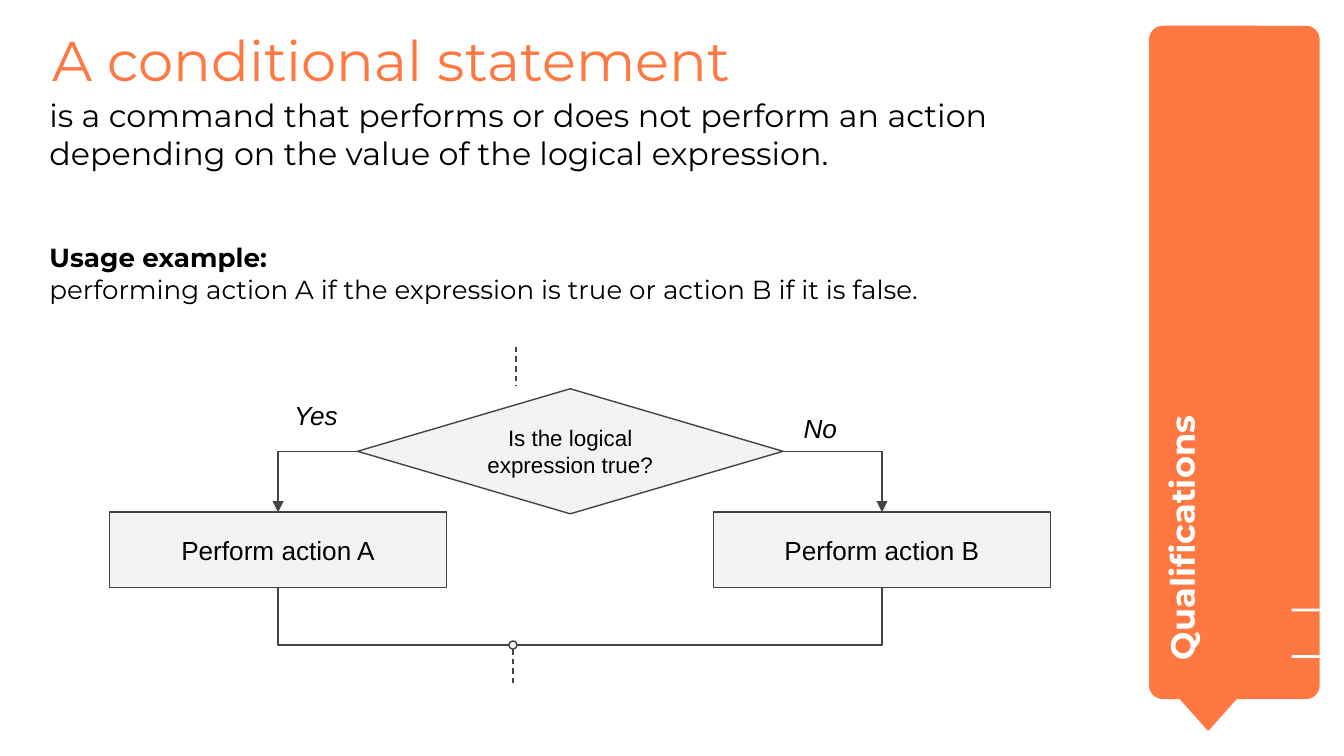
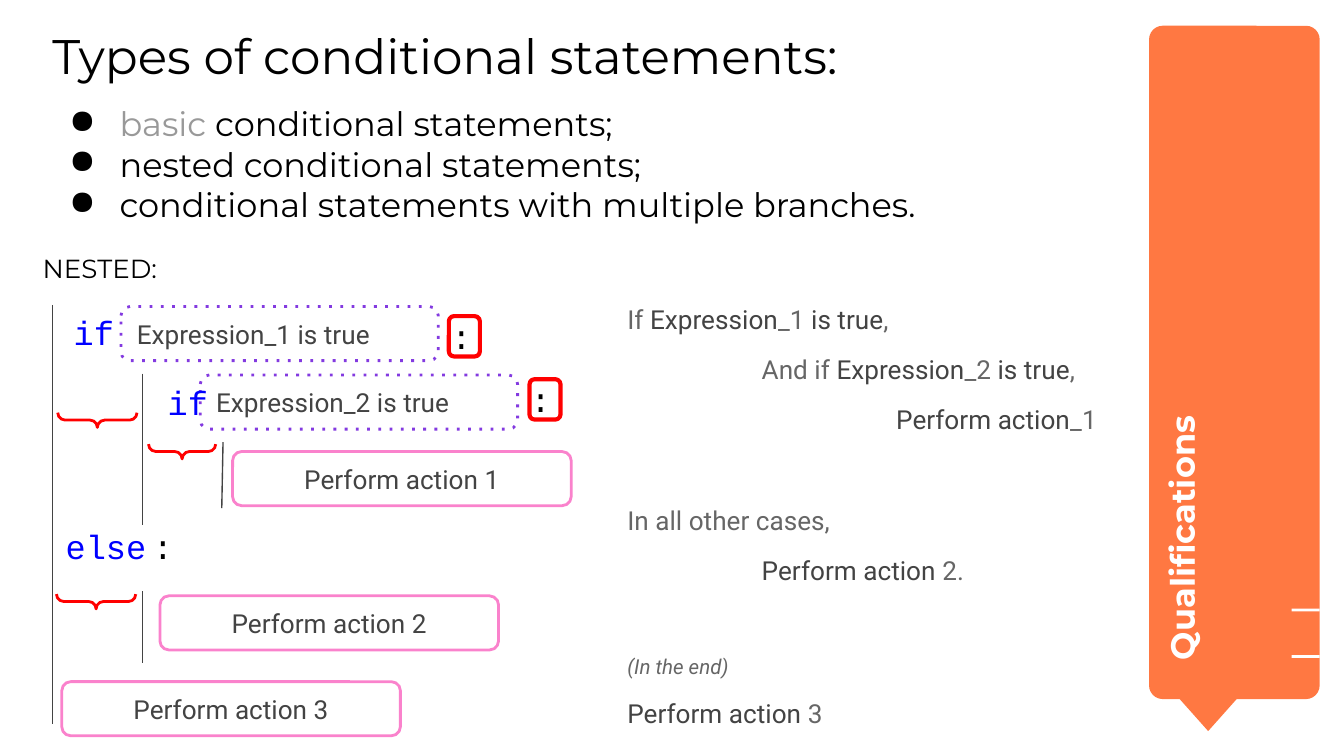
"""Build two slides that explain conditional statements."""
from dataclasses import dataclass, replace
from typing import NamedTuple

from lxml import etree
from pptx import Presentation
from pptx import util as u
from pptx.dml import color as c
from pptx.enum import shapes as s
from pptx.enum import text as t
from pptx.oxml import ns

Kind = s.MSO_SHAPE
Align = t.PP_ALIGN


@dataclass(frozen=True)
class Theme:
    orange: str = "FF7842"
    white: str = "FFFFFF"
    black: str = "000000"
    pale: str = "F3F3F3"
    dark: str = "434343"
    grey: str = "666666"
    light: str = "999999"
    pink: str = "FA82CC"
    purple: str = "833AE0"
    red: str = "FF0000"
    blue: str = "0000FF"
    heading: str = "Montserrat"
    diagram: str = "Arial"
    code: str = "Courier New"
    prose: str = "Roboto"
    title: float = 30
    subtitle: float = 26
    large: float = 18
    lead: float = 17
    body: float = 14
    small: float = 12
    note: float = 11
    inset: float = 7.2


THEME = Theme()


class Box(NamedTuple):
    left: float
    top: float
    width: float
    height: float

    def lengths(self) -> list:
        return [u.Pt(value) for value in self]


class Stroke(NamedTuple):
    color: str
    width: float
    dash: str = ""
    arrow: str = ""


class Style(NamedTuple):
    size: float
    font: str
    color: str = THEME.black
    bold: bool = False
    italic: bool = False


class Piece(NamedTuple):
    text: str
    style: Style


@dataclass(frozen=True)
class Line:
    pieces: tuple[Piece, ...]
    before: float = 0
    indent: float = 0
    hanging: float = 0


THIN = Stroke(THEME.dark, 0.75)
DASHED = THIN._replace(dash="dash")
ARROW = THIN._replace(arrow="triangle")
ACTION = Stroke(THEME.pink, 1.5)
EXPRESSION = Stroke(THEME.purple, 1.5, "dot")
BRACE = Stroke(THEME.red, 1.5)
MARK = Stroke(THEME.red, 2.25)

BODY = Style(THEME.body, THEME.heading)
LIST = Style(THEME.large, THEME.heading)
CHART = Style(THEME.body, THEME.diagram)
CODE = Style(THEME.large, THEME.code)
DARK = Style(THEME.body, THEME.prose, THEME.dark)
GREY = DARK._replace(color=THEME.grey)


def line(text: str, style: Style, **spacing: float) -> Line:
    return Line((Piece(text, style),), **spacing)


def set_bullet(paragraph, color: str) -> None:
    properties = paragraph._p.get_or_add_pPr()
    holder = etree.SubElement(properties, ns.qn("a:buClr"))
    etree.SubElement(holder, ns.qn("a:srgbClr")).set("val", color)
    etree.SubElement(properties, ns.qn("a:buChar")).set("char", "●")


def write(frame, lines: list[Line], align=Align.LEFT, anchor=t.MSO_ANCHOR.TOP,
          inset: float = THEME.inset) -> None:
    frame.word_wrap = True
    frame.auto_size = t.MSO_AUTO_SIZE.NONE
    frame.vertical_anchor = anchor
    frame.margin_left = frame.margin_right = u.Pt(inset)
    frame.margin_top = frame.margin_bottom = u.Pt(inset)
    for index, content in enumerate(lines):
        paragraph = frame.add_paragraph() if index else frame.paragraphs[0]
        paragraph.alignment = align
        paragraph.space_before = u.Pt(content.before)
        properties = paragraph._p.get_or_add_pPr()
        properties.set("marL", str(u.Pt(content.indent)))
        properties.set("indent", str(u.Pt(-content.hanging)))
        if content.hanging:
            set_bullet(paragraph, THEME.black)
        paragraph.text = content.pieces[0].text
        for piece in content.pieces[1:]:
            paragraph.add_run().text = piece.text
        for run, piece in zip(paragraph.runs, content.pieces):
            style = piece.style
            run.font.name = style.font
            run.font.size = u.Pt(style.size)
            run.font.bold = style.bold
            run.font.italic = style.italic
            run.font.color.rgb = c.RGBColor.from_string(style.color)


def apply_stroke(shape, stroke: Stroke) -> None:
    shape.line.color.rgb = c.RGBColor.from_string(stroke.color)
    shape.line.width = u.Pt(stroke.width)
    outline = shape._element.spPr.find(ns.qn("a:ln"))
    if stroke.dash:
        etree.SubElement(outline, ns.qn("a:prstDash")).set("val", stroke.dash)
    if stroke.arrow:
        etree.SubElement(outline, ns.qn("a:tailEnd")).set("type", stroke.arrow)


def add_shape(parent, kind, box: Box, fill: str = "", stroke: Stroke | None = None,
              adjustments: tuple[float, ...] = ()):
    shape = parent.shapes.add_shape(kind, *box.lengths())
    shape.shadow.inherit = False
    for index, value in enumerate(adjustments):
        shape.adjustments[index] = value
    if fill:
        shape.fill.solid()
        shape.fill.fore_color.rgb = c.RGBColor.from_string(fill)
    else:
        shape.fill.background()
    if stroke:
        apply_stroke(shape, stroke)
    else:
        shape.line.fill.background()
    return shape


def add_labelled(slide, kind, box: Box, text: str, style: Style, stroke: Stroke,
                 fill: str = "", align=Align.CENTER):
    shape = add_shape(slide, kind, box, fill, stroke)
    write(shape.text_frame, [line(text, style)], align, t.MSO_ANCHOR.MIDDLE)
    return shape


def add_text(slide, box: Box, lines: list[Line], inset: float = THEME.inset):
    shape = slide.shapes.add_textbox(*box.lengths())
    write(shape.text_frame, lines, inset=inset)
    return shape


def add_line(slide, start: tuple[float, float], end: tuple[float, float],
             stroke: Stroke = THIN, bent: bool = False):
    kind = s.MSO_CONNECTOR.ELBOW if bent else s.MSO_CONNECTOR.STRAIGHT
    points = [u.Pt(value) for value in (*start, *end)]
    connector = slide.shapes.add_connector(kind, *points)
    properties = connector._element.spPr
    if bent:
        properties.find(ns.qn("a:prstGeom")).set("prst", "bentConnector2")
    apply_stroke(connector, stroke)
    etree.SubElement(properties, ns.qn("a:effectLst"))
    return connector


def add_sidebar(slide) -> None:
    band = slide.shapes.add_group_shape()
    add_shape(band, Kind.ROUNDED_RECTANGLE, Box(615.6, 13.8, 91.4, 360.7),
              THEME.orange, adjustments=(0.08,))
    add_shape(band, Kind.FLOWCHART_MERGE, Box(623.5, 365, 47.5, 26.7), THEME.orange)
    style = LIST._replace(color=THEME.white, bold=True)
    label = add_text(slide, Box(510.5, 190.1, 275, 66.2), [line("Qualifications", style)])
    label.rotation = 270
    for top in (326, 351):
        add_shape(slide, Kind.RECTANGLE, Box(691.9, top, 15.1, 1.5), THEME.white)


def add_slide(presentation, title: str, box: Box, style: Style):
    slide = presentation.slides.add_slide(presentation.slide_layouts[5])
    placeholder = slide.shapes.title
    placeholder.left, placeholder.top, placeholder.width, placeholder.height = box.lengths()
    write(placeholder.text_frame, [line(title, style)], inset=0)
    add_sidebar(slide)
    return slide


def build_definition(presentation) -> None:
    slide = add_slide(presentation, "A conditional statement", Box(28.1, 13.7, 583, 51),
                      Style(THEME.title, THEME.heading, THEME.orange))
    add_text(slide, Box(19.4, 43.9, 576, 59), [line(
        "is a command that performs or does not perform an action depending on "
        "the value of the logical expression.", BODY._replace(size=THEME.lead))])
    add_text(slide, Box(19.4, 122.4, 610.6, 44), [
        line("Usage example:", BODY._replace(bold=True)),
        line("performing action A if the expression is true or action B if it is false.", BODY)])

    decision = add_labelled(
        slide, Kind.FLOWCHART_DECISION, Box(191.5, 208.3, 228, 67),
        "Is the logical expression true?", CHART._replace(size=THEME.small), THIN, THEME.pale)
    join_x, join_y, radius = 274.8, 345.6, 2.15
    add_shape(slide, Kind.OVAL, Box(join_x - radius, join_y - radius, 2 * radius, 2 * radius),
              THEME.pale, THIN)
    action_top, width, height = 274.4, 180.6, 40.3
    for letter, left, corner, side in (("A", 58.7, 1, -1), ("B", 382.2, 3, 1)):
        action = add_labelled(slide, Kind.RECTANGLE, Box(left, action_top, width, height),
                              f"Perform action {letter}", CHART, THIN, THEME.pale)
        middle = left + width / 2
        branch = add_line(slide, (join_x, 241.8), (middle, action_top), ARROW, bent=True)
        branch.begin_connect(decision, corner)
        branch.end_connect(action, 0)
        add_line(slide, (join_x + side * radius, join_y), (middle, action_top + height),
                 bent=True)
    add_line(slide, (276.4, 185.8), (276.4, 206.6), DASHED)
    add_line(slide, (join_x, join_y + radius), (join_x, 367.9), DASHED)
    for text, left, top in (("Yes", 150.5, 206.6), ("No", 423.4, 213.8)):
        add_text(slide, Box(left, top, 42, 29.5), [line(text, CHART._replace(italic=True))])


def condition(opening: str, number: int, **spacing: float) -> Line:
    return Line((Piece(opening, GREY), Piece("Expression", DARK), Piece(f"_{number} ", GREY),
                 Piece("is true", DARK), Piece(",", GREY)), **spacing)


def action(ending: str, **spacing: float) -> Line:
    return Line((Piece("Perform action", DARK), Piece(ending, GREY)), **spacing)


def build_types(presentation) -> None:
    slide = add_slide(presentation, "Types of conditional statements:",
                      Box(28.1, 13.7, 558.7, 34), Style(THEME.subtitle, THEME.heading))
    bullet = Line((Piece("basic", LIST._replace(color=THEME.light)),
                   Piece(" conditional statements;", LIST)), indent=36, hanging=27)
    others = ("nested conditional statements;", "conditional statements with multiple branches.")
    add_text(slide, Box(28.1, 55.4, 558.7, 66),
             [bullet, *(replace(bullet, pieces=(Piece(text, LIST),)) for text in others)], inset=0)
    add_text(slide, Box(15.8, 128.2, 216, 28.8), [line("NESTED:", BODY)])

    for number, left, top in ((1, 124.6, 241.9), (2, 85.7, 319.2), (3, 33.1, 365.2)):
        add_labelled(slide, Kind.ROUNDED_RECTANGLE, Box(left, top, 181.4, 29),
                     f"Perform action {number}", DARK, ACTION)
    for number, left, top in ((1, 64.8, 164.2), (2, 107.3, 200.9)):
        add_labelled(slide, Kind.ROUNDED_RECTANGLE, Box(left, top, 170, 29),
                     f"Expression_{number} is true", DARK, EXPRESSION, align=Align.LEFT)
    for text, color, left, top, width in (
            ("if", THEME.blue, 32.4, 159.8, 38.2), (":", THEME.black, 234.7, 162, 38.2),
            ("if", THEME.blue, 82.8, 197.3, 38.2), (":", THEME.black, 277.2, 195.8, 38.2),
            ("else", THEME.blue, 28.1, 274.3, 64), (":", THEME.black, 74.9, 274.3, 38.2)):
        add_text(slide, Box(left, top, width, 36.7), [line(text, CODE._replace(color=color))])
    for start, end in (((28.1, 163.4), (28.1, 388.1)), ((76.3, 200.2), (76.3, 281.5)),
                       ((119.5, 236.9), (118.8, 272.2)), ((76.3, 316.8), (76.3, 355))):
        add_line(slide, start, end)
    for left, top, height in ((48.2, 203.8, 42.5), (93.6, 223.9, 36), (47.5, 301, 42.5)):
        brace = add_shape(slide, Kind.RIGHT_BRACE, Box(left, top, 7.9, height),
                          stroke=BRACE, adjustments=(0.5, 0.5))
        brace.rotation = 90
    for left, top in ((240.5, 169.4), (283.7, 203.2)):
        add_shape(slide, Kind.ROUNDED_RECTANGLE, Box(left, top, 16.6, 21.6), stroke=MARK)

    step, gap, tab = 10, 36.8, 72
    add_text(slide, Box(329, 155.5, 272.9, 243.4), [
        condition("If ", 1),
        condition("And if ", 2, before=step, indent=tab),
        action("_1", before=step, indent=2 * tab),
        line("In all other cases,", GREY, before=gap),
        action(" 2.", before=step, indent=tab),
        line("(In the end)", GREY._replace(size=THEME.note, italic=True), before=gap),
        action(" 3", before=step)])


def main() -> None:
    presentation = Presentation()
    presentation.slide_width, presentation.slide_height = u.Pt(720), u.Pt(405)
    build_definition(presentation)
    build_types(presentation)
    presentation.save("out.pptx")


if __name__ == "__main__":
    main()
